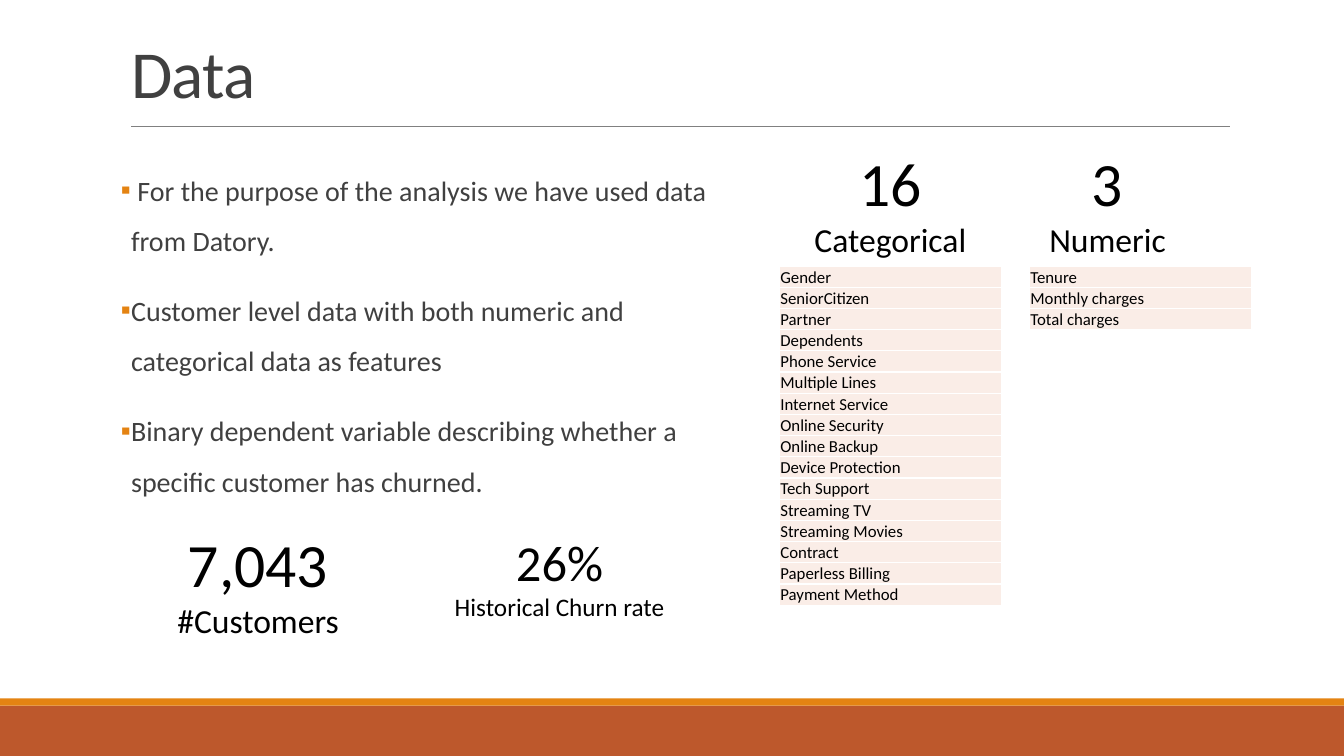
from dataclasses import dataclass

import lxml.etree
import pptx
import pptx.dml.color
import pptx.enum.shapes
import pptx.enum.text
import pptx.oxml.ns
import pptx.util

Inches = pptx.util.Inches
Pt = pptx.util.Pt
qn = pptx.oxml.ns.qn
Align = pptx.enum.text.PP_ALIGN
Anchor = pptx.enum.text.MSO_ANCHOR
AutoSize = pptx.enum.text.MSO_AUTO_SIZE


@dataclass(frozen=True)
class Theme:
    font: str = "Calibri"
    ink: str = "000000"
    heading: str = "404040"
    rule: str = "808080"
    accent: str = "E48312"
    footer: str = "BD582C"
    cell: str = "FAEDE7"
    border: str = "FFFFFF"
    title_size: float = 48
    body_size: float = 20
    cell_size: float = 12


@dataclass(frozen=True)
class Box:
    left: float
    top: float
    width: float
    height: float

    def lengths(self) -> tuple:
        return tuple(Inches(v) for v in (self.left, self.top, self.width, self.height))


@dataclass(frozen=True)
class Figure:
    """A large number above its caption."""
    box: Box
    value: str
    caption: str
    value_size: float = 44
    caption_size: float = 24


@dataclass(frozen=True)
class FeatureList:
    left: float
    features: tuple[str, ...]


THEME = Theme()
TABLE_TOP, TABLE_WIDTH, ROW_HEIGHT = 2.64, 2.2, 0.21

BANDS = (
    (Box(0, 7, 13.33, 0.5), THEME.footer),
    (Box(0, 6.93, 13.33, 0.07), THEME.accent),
)
TITLE_BOX = Box(1.2, 0.31, 11, 0.85)
BODY_BOX = Box(1.2, 1.5, 6.09, 4.92)
BULLETS = (
    " For the purpose of the analysis we have used data from Datory.",
    "Customer level data with both numeric and categorical data as features",
    "Binary dependent variable describing whether a specific customer has churned.",
)
FIGURES = (
    Figure(Box(1.65, 5.17, 1.82, 1.25), "7,043", "#Customers"),
    Figure(Box(7.97, 1.39, 1.72, 1.25), "16", "Categorical"),
    Figure(Box(10.3, 1.39, 1.37, 1.25), "3", "Numeric"),
    Figure(Box(4.4, 5.22, 2.3, 1.01), "26%", "Historical Churn rate", 36, 18),
)
FEATURE_LISTS = (
    FeatureList(7.73, (
        "Gender", "SeniorCitizen", "Partner", "Dependents", "Phone Service",
        "Multiple Lines", "Internet Service", "Online Security", "Online Backup",
        "Device Protection", "Tech Support", "Streaming TV", "Streaming Movies",
        "Contract", "Paperless Billing", "Payment Method")),
    FeatureList(10.21, ("Tenure", "Monthly charges", "Total charges")),
)


def rgb(color: str) -> pptx.dml.color.RGBColor:
    return pptx.dml.color.RGBColor.from_string(color)


def format_runs(para, size: float, color: str) -> None:
    for span in para.runs:
        span.font.name = THEME.font
        span.font.size = Pt(size)
        span.font.color.rgb = rgb(color)


def place(shape, box: Box) -> None:
    shape.left, shape.top, shape.width, shape.height = box.lengths()


def add_color_fill(parent, tag: str, color: str) -> None:
    holder = lxml.etree.SubElement(parent, qn(tag))
    lxml.etree.SubElement(holder, qn("a:srgbClr"), val=color)


def add_band(page, box: Box, color: str) -> None:
    band = page.shapes.add_shape(pptx.enum.shapes.MSO_SHAPE.RECTANGLE, *box.lengths())
    band.shadow.inherit = False
    band.fill.solid()
    band.fill.fore_color.rgb = rgb(color)
    band.line.fill.background()


def add_title_rule(page) -> None:
    rule = page.shapes.add_connector(
        pptx.enum.shapes.MSO_CONNECTOR.STRAIGHT,
        Inches(1.3), Inches(1.25), Inches(12.2), Inches(1.25))
    rule.line.color.rgb = rgb(THEME.rule)
    rule.line.width = Pt(0.5)
    lxml.etree.SubElement(rule._element.spPr, qn("a:effectLst"))


def fill_title(title) -> None:
    place(title, TITLE_BOX)
    frame = title.text_frame
    frame.text = "Data"
    frame.auto_size = AutoSize.NONE
    frame.vertical_anchor = Anchor.BOTTOM
    para = frame.paragraphs[0]
    para.alignment = Align.LEFT
    para.line_spacing = 0.85
    format_runs(para, THEME.title_size, THEME.heading)
    para.runs[0]._r.get_or_add_rPr().set("spc", "-50")


def add_bullet(para) -> None:
    properties = para._p.get_or_add_pPr()
    properties.set("marL", str(Inches(0.1)))
    properties.set("indent", str(Inches(-0.1)))
    add_color_fill(properties, "a:buClr", THEME.accent)
    lxml.etree.SubElement(properties, qn("a:buFont"), typeface=THEME.font)
    lxml.etree.SubElement(properties, qn("a:buChar"), char="▪")


def fill_body(body) -> None:
    place(body, BODY_BOX)
    frame = body.text_frame
    frame.text = "\n".join(BULLETS)
    frame.auto_size = AutoSize.NONE
    frame.vertical_anchor = Anchor.TOP
    frame.margin_left = frame.margin_right = 0
    for para in frame.paragraphs:
        para.line_spacing = 1.5
        para.space_before = Pt(12)
        para.space_after = Pt(2)
        add_bullet(para)
        format_runs(para, THEME.body_size, THEME.heading)


def add_figure(page, figure: Figure) -> None:
    frame = page.shapes.add_textbox(*figure.box.lengths()).text_frame
    frame.text = f"{figure.value}\n{figure.caption}"
    frame.word_wrap = False
    frame.auto_size = AutoSize.SHAPE_TO_FIT_TEXT
    for para, size in zip(frame.paragraphs, (figure.value_size, figure.caption_size)):
        para.alignment = Align.CENTER
        format_runs(para, size, THEME.ink)


def format_cell(cell) -> None:
    cell.margin_left = cell.margin_right = cell.margin_top = Inches(0.01)
    cell.margin_bottom = 0
    cell.vertical_anchor = Anchor.BOTTOM
    properties = cell._tc.get_or_add_tcPr()
    for side in ("a:lnL", "a:lnR", "a:lnT", "a:lnB"):
        border = lxml.etree.SubElement(properties, qn(side), w=str(Pt(1)))
        add_color_fill(border, "a:solidFill", THEME.border)
    cell.fill.solid()
    cell.fill.fore_color.rgb = rgb(THEME.cell)
    format_runs(cell.text_frame.paragraphs[0], THEME.cell_size, THEME.ink)


def add_feature_table(page, listing: FeatureList) -> None:
    count = len(listing.features)
    box = Box(listing.left, TABLE_TOP, TABLE_WIDTH, count * ROW_HEIGHT)
    table = page.shapes.add_table(count, 1, *box.lengths()).table
    table.first_row = table.horz_banding = False
    for row, feature in zip(table.rows, listing.features):
        row.height = Inches(ROW_HEIGHT)
        cell = row.cells[0]
        cell.text_frame.text = feature
        format_cell(cell)


def main() -> None:
    deck = pptx.Presentation()
    deck.slide_width, deck.slide_height = Inches(13.33), Inches(7.5)
    page = deck.slides.add_slide(deck.slide_layouts.get_by_name("Title and Content"))
    for box, color in BANDS:
        add_band(page, box, color)
    add_title_rule(page)
    fill_title(page.shapes.title)
    fill_body(page.placeholders[1])
    for figure in FIGURES:
        add_figure(page, figure)
    for listing in FEATURE_LISTS:
        add_feature_table(page, listing)
    deck.save("out.pptx")


if __name__ == "__main__":
    main()
